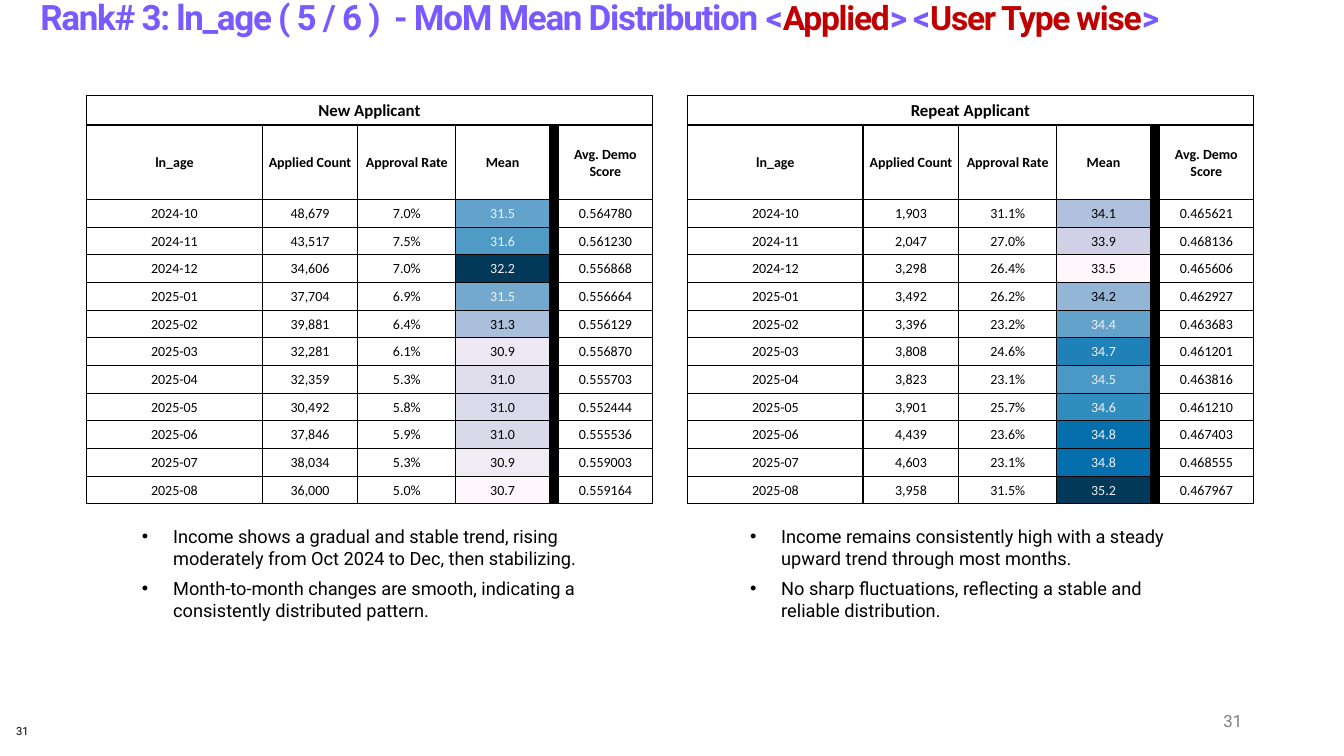
from dataclasses import dataclass

from lxml.etree import SubElement
from pptx import Presentation
from pptx.dml.color import RGBColor as Color
from pptx.enum.shapes import MSO_SHAPE as Shape
from pptx.enum.text import MSO_ANCHOR as Anchor, PP_ALIGN as Align
from pptx.oxml.ns import qn
from pptx.util import Inches, Pt


@dataclass(frozen=True)
class Theme:
    body_font: str = "Roboto"
    table_font: str = "Calibri"
    black: str = "000000"
    white: str = "FFFFFF"
    light: str = "F1F1F1"
    grey: str = "808080"
    violet: str = "785AFF"
    red: str = "C00000"
    title_size: int = 25
    tag_size: int = 24
    bullet_size: int = 13
    caption_size: int = 12
    cell_size: int = 10
    number_size: int = 8


THEME = Theme()
COLUMN_WIDTHS = [1.74, 0.95, 0.97, 0.93, 0.09, 0.93]
TABLE_TOP, TABLE_HEIGHT = 0.95, 4.05
CAPTION_HEIGHT, HEADER_HEIGHT = 0.29, 0.74
MEAN_COLUMN, SPACER_COLUMN = 3, 4
HEADERS = ["ln_age", "Applied Count", "Approval Rate", "Mean", "", "Avg. Demo Score"]
MONTHS = ["2024-10", "2024-11", "2024-12"] + [f"2025-{month:02}" for month in range(1, 9)]

# Each row: applied count, approval rate, mean, mean fill, average demo score
NEW_ROWS = [
    ("48,679", "7.0%", "31.5", "62A2CB", "0.564780"),
    ("43,517", "7.5%", "31.6", "509AC6", "0.561230"),
    ("34,606", "7.0%", "32.2", "023858", "0.556868"),
    ("37,704", "6.9%", "31.5", "73A9CF", "0.556664"),
    ("39,881", "6.4%", "31.3", "A9BFDC", "0.556129"),
    ("32,281", "6.1%", "30.9", "EDE8F3", "0.556870"),
    ("32,359", "5.3%", "31.0", "E0DEED", "0.555703"),
    ("30,492", "5.8%", "31.0", "DBDAEB", "0.552444"),
    ("37,846", "5.9%", "31.0", "DAD9EA", "0.555536"),
    ("38,034", "5.3%", "30.9", "F1EBF4", "0.559003"),
    ("36,000", "5.0%", "30.7", "FFF7FB", "0.559164"),
]
REPEAT_ROWS = [
    ("1,903", "31.1%", "34.1", "AFC1DD", "0.465621"),
    ("2,047", "27.0%", "33.9", "D0D1E6", "0.468136"),
    ("3,298", "26.4%", "33.5", "FFF7FB", "0.465606"),
    ("3,492", "26.2%", "34.2", "93B5D6", "0.462927"),
    ("3,396", "23.2%", "34.4", "62A2CB", "0.463683"),
    ("3,808", "24.6%", "34.7", "2081B9", "0.461201"),
    ("3,823", "23.1%", "34.5", "4A98C5", "0.463816"),
    ("3,901", "25.7%", "34.6", "328DBF", "0.461210"),
    ("4,439", "23.6%", "34.8", "056FAE", "0.467403"),
    ("4,603", "23.1%", "34.8", "056EAD", "0.468555"),
    ("3,958", "31.5%", "35.2", "023858", "0.467967"),
]
NEW_POINTS = [
    "Income shows a gradual and stable trend, rising moderately from Oct 2024 to Dec, then stabilizing.",
    "Month-to-month changes are smooth, indicating a consistently distributed pattern.",
]
REPEAT_POINTS = [
    "Income remains consistently high with a steady upward trend through most months.",
    "No sharp fluctuations, reflecting a stable and reliable distribution.",
]


def add_span(para, text, *, size, font=THEME.body_font, color=THEME.black, bold=False, spacing=None):
    span = para.add_run()
    span.text = text
    span.font.name = font
    span.font.size = Pt(size)
    span.font.bold = bold
    span.font.color.rgb = Color.from_string(color)
    if spacing is not None:
        span.font._element.set("spc", str(round(spacing * 100)))


def set_margins(target, left, top, right, bottom):
    target.margin_left, target.margin_top = Inches(left), Inches(top)
    target.margin_right, target.margin_bottom = Inches(right), Inches(bottom)


def text_on(fill):
    """Light text on a dark fill, black on a pale one."""
    channels = Color.from_string(fill)
    luma = sum(weight * channel for weight, channel in zip((0.3, 0.59, 0.11), channels))
    return THEME.light if 0 < luma < 165 else THEME.black


class SlideBuilder:
    def __init__(self, slide, theme):
        self.slide = slide
        self.theme = theme

    def title(self, parts):
        box = self.slide.shapes.add_shape(
            Shape.RECTANGLE, Inches(0.4), Inches(0.08), Inches(12.28), Inches(0.57))
        box.shadow.inherit = False
        box.fill.solid()
        box.fill.fore_color.rgb = Color.from_string(self.theme.white)
        box.line.fill.background()
        frame = box.text_frame
        frame.word_wrap = True
        frame.vertical_anchor = Anchor.MIDDLE
        set_margins(frame, 0, 0, 0, 0.4)
        para = frame.paragraphs[0]
        para.alignment = Align.LEFT
        for text, color, size in parts:
            add_span(para, text, size=size, color=color, bold=True, spacing=-0.9)

    def text_box(self, left, top, width, height):
        box = self.slide.shapes.add_textbox(Inches(left), Inches(top), Inches(width), Inches(height))
        box.text_frame.word_wrap = True
        return box.text_frame

    def bullets(self, left, width, points):
        frame = self.text_box(left, 5.16, width, 1.06)
        for index, point in enumerate(points):
            para = frame.add_paragraph() if index else frame.paragraphs[0]
            props = para._p.get_or_add_pPr()
            props.set("marL", str(Inches(0.31)))
            props.set("indent", str(-Inches(0.31)))
            SubElement(props, qn("a:buFont"), typeface="Arial")
            SubElement(props, qn("a:buChar"), char="•")
            para.space_after = Pt(6)
            add_span(para, point, size=self.theme.bullet_size)

    def page_numbers(self, number):
        frame = self.text_box(9.42, 6.95, 3, 0.4)
        frame.vertical_anchor = Anchor.MIDDLE
        para = frame.paragraphs[0]
        para.alignment = Align.RIGHT
        add_span(para, number, size=self.theme.caption_size, color=self.theme.grey)
        frame = self.text_box(0.16, 7.19, 2.92, 0.25)
        set_margins(frame, 0, 0, 0, 0)
        add_span(frame.paragraphs[0], number, size=self.theme.number_size)

    def cell(self, cell, text, *, fill, size, bold):
        cell.vertical_anchor = Anchor.MIDDLE
        set_margins(cell, 0.01, 0.01, 0.01, 0)
        para = cell.text_frame.paragraphs[0]
        para.alignment = Align.CENTER
        if text:
            add_span(para, text, size=size, font=self.theme.table_font, color=text_on(fill), bold=bold)
        else:
            SubElement(para._p, qn("a:endParaRPr"), sz=str(size * 100))
        props = cell._tc.get_or_add_tcPr()
        for side in ("lnL", "lnR", "lnT", "lnB"):
            line = SubElement(props, qn(f"a:{side}"), w=str(Pt(1)))
            SubElement(SubElement(line, qn("a:solidFill")), qn("a:srgbClr"), val=self.theme.black)
        cell.fill.solid()
        cell.fill.fore_color.rgb = Color.from_string(fill)

    def mean_table(self, left, caption, data):
        rows = [[caption] + [""] * (len(HEADERS) - 1), HEADERS]
        rows += [[month, count, rate, mean, "", score]
                 for month, (count, rate, mean, _, score) in zip(MONTHS, data)]
        table = self.slide.shapes.add_table(
            len(rows), len(HEADERS), Inches(left), Inches(TABLE_TOP),
            Inches(sum(COLUMN_WIDTHS)), Inches(TABLE_HEIGHT)).table
        table.first_row = table.horz_banding = False
        for column, width in zip(table.columns, COLUMN_WIDTHS):
            column.width = Inches(width)
        data_height = (TABLE_HEIGHT - CAPTION_HEIGHT - HEADER_HEIGHT) / len(data)
        heights = [CAPTION_HEIGHT, HEADER_HEIGHT] + [data_height] * len(data)
        for row, height in zip(table.rows, heights):
            row.height = Inches(height)
        table.cell(0, 0).merge(table.cell(0, len(HEADERS) - 1))
        for r, texts in enumerate(rows):
            for c, text in enumerate(texts):
                fill = self.theme.white
                if r > 0 and c == SPACER_COLUMN:
                    fill = self.theme.black
                elif r > 1 and c == MEAN_COLUMN:
                    fill = data[r - 2][3]
                size = self.theme.cell_size if r else self.theme.caption_size
                self.cell(table.cell(r, c), text, fill=fill, size=size, bold=r < 2)


def main():
    deck = Presentation()
    deck.slide_width, deck.slide_height = Inches(13.33), Inches(7.5)
    page = SlideBuilder(deck.slides.add_slide(deck.slide_layouts[6]), THEME)
    tag = THEME.tag_size
    page.title([
        ("Rank# 3: ln_age ( 5 / 6 )  - MoM Mean Distribution ", THEME.violet, THEME.title_size),
        ("<", THEME.violet, tag), ("Applied", THEME.red, tag), ("> <", THEME.violet, tag),
        ("User Type wise", THEME.red, tag), (">", THEME.violet, tag),
    ])
    page.page_numbers("31")
    page.bullets(1.31, 4.68, NEW_POINTS)
    page.bullets(7.34, 4.59, REPEAT_POINTS)
    page.mean_table(0.86, "New Applicant", NEW_ROWS)
    page.mean_table(6.82, "Repeat Applicant", REPEAT_ROWS)
    deck.save("out.pptx")


if __name__ == "__main__":
    main()
